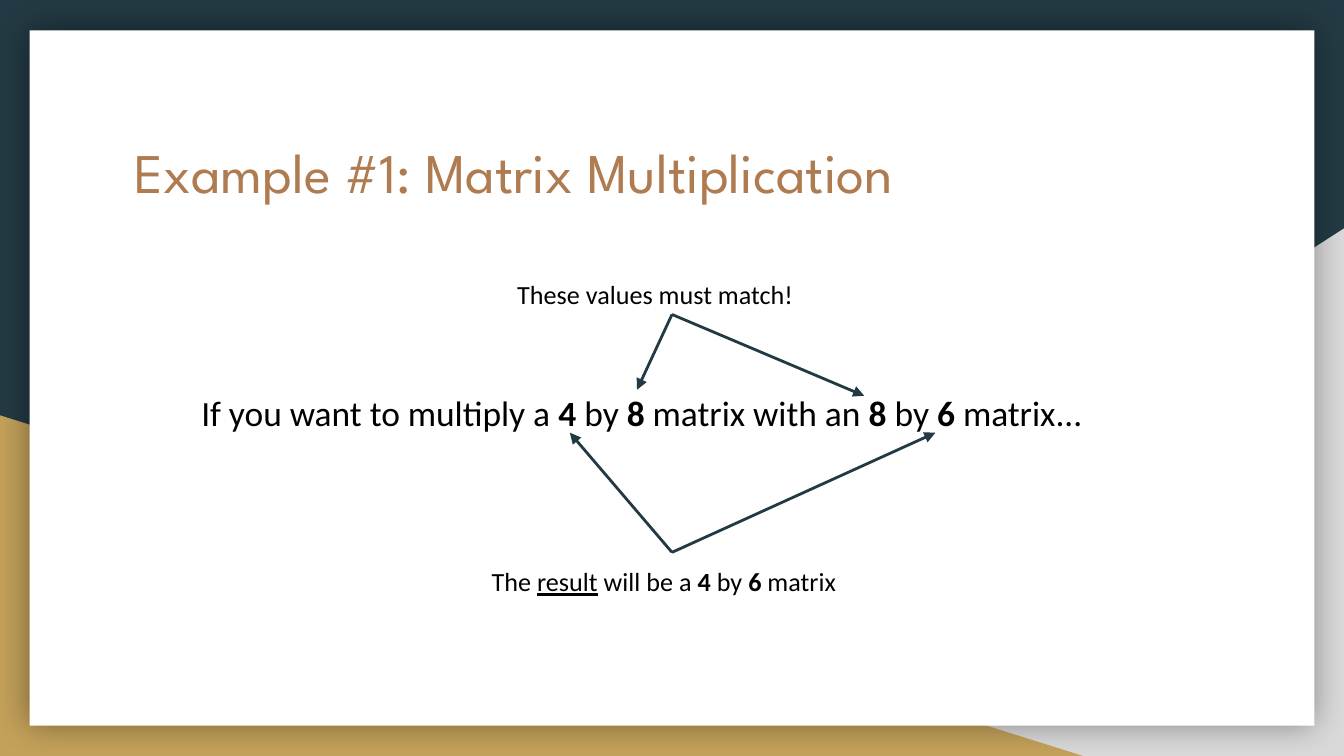
from lxml.etree import SubElement
from pptx import Presentation
from pptx.dml.color import RGBColor
from pptx.enum.shapes import MSO_CONNECTOR, MSO_SHAPE
from pptx.enum.text import MSO_ANCHOR, MSO_AUTO_SIZE, PP_ALIGN
from pptx.oxml.ns import qn
from pptx.util import Inches, Pt

COLORS = {"navy": "233A44", "gray": "D9D9D9", "gold": "C4A15A",
          "white": "FFFFFF", "copper": "AF7B51", "black": "000000"}
COLS, ROWS = 100, 56.25  # square grid cells over the whole slide
CELL = Inches(0.1)


def rgb(name):
    return RGBColor.from_string(COLORS[name])


def cells(*counts):
    return [round(n * CELL) for n in counts]


def inside(box, x, y, w, h):
    """Turn a place relative to box into a place on the slide."""
    return box[0] + x, box[1] + y, w, h


def add_panel(s, kind, box, color):
    sp = s.shapes.add_shape(kind, *cells(*box))
    sp.shadow.inherit = False
    sp.fill.solid()
    sp.fill.fore_color.rgb = rgb(color)
    sp.line.fill.background()
    return sp


def add_glow(sp, blur, alpha):
    """Give a shape a soft dark shadow on all sides."""
    effects = sp._element.spPr.find(qn("a:effectLst"))
    shadow = SubElement(effects, qn("a:outerShdw"), blurRad=str(Pt(blur)),
                        dist="0", dir="0", algn="ctr", rotWithShape="0")
    color = SubElement(shadow, qn("a:srgbClr"), val=COLORS["black"])
    SubElement(color, qn("a:alpha"), val=str(alpha * 1000))


def format_frame(tf):
    tf.word_wrap = True
    tf.auto_size = MSO_AUTO_SIZE.NONE
    tf.vertical_anchor = MSO_ANCHOR.TOP
    tf.margin_left = tf.margin_right = tf.margin_top = tf.margin_bottom = CELL
    tf.paragraphs[0].alignment = PP_ALIGN.LEFT


def format_font(font, name, size, color):
    font.name, font.size, font.color.rgb = name, Pt(size), rgb(color)


def add_text(s, box, size, parts):
    """Add one line of (text, style) parts; style is "", "b" or "u"."""
    tf = s.shapes.add_textbox(*cells(*box)).text_frame
    format_frame(tf)
    for text, style in parts:
        r = tf.paragraphs[0].add_run()
        r.text = text
        format_font(r.font, "Calibri", size, "black")
        r.font.bold = style == "b"
        r.font.underline = style == "u"


def add_arrow(s, box, start, end):
    points = [box[0] + start[0], box[1] + start[1],
              box[0] + end[0], box[1] + end[1]]
    line = s.shapes.add_connector(MSO_CONNECTOR.STRAIGHT, *cells(*points))
    line.line.color.rgb = rgb("navy")
    line.line.width = Pt(1.5)
    SubElement(line.line._get_or_add_ln(), qn("a:tailEnd"), type="triangle")
    SubElement(line._element.spPr, qn("a:effectLst"))


def add_backdrop(s, box):
    s.background.fill.solid()
    s.background.fill.fore_color.rgb = rgb("navy")
    right = add_panel(s, MSO_SHAPE.RIGHT_TRIANGLE,
                      inside(box, 39.2, 17, 60.8, 39.25), "gray")
    right._element.spPr.xfrm.set("flipH", "1")
    add_panel(s, MSO_SHAPE.RIGHT_TRIANGLE,
              inside(box, 0, 30.9, 80.6, 25.35), "gold")
    card = add_panel(s, MSO_SHAPE.RECTANGLE,
                     inside(box, 2.2, 2.25, 95.6, 51.75), "white")
    add_glow(card, 18, 40)


def add_title(s, box, text):
    """Fill the title placeholder and bring it in front of the backdrop."""
    title = s.shapes.title
    s.shapes._spTree.append(title._element)
    title.left, title.top, title.width, title.height = cells(*box)
    title.text_frame.text = text
    format_frame(title.text_frame)
    format_font(title.text_frame.paragraphs[0].runs[0].font,
                "League Spartan", 30, "copper")


def add_size_rule(s, box):
    """Show which matrix sizes must match and which give the result."""
    add_text(s, inside(box, 0, 8.4, 72, 6.3), 19, [
        ("If you want to multiply a ", ""), ("4 ", "b"), ("by", ""),
        (" 8", "b"), (" matrix with an ", ""), ("8 ", "b"), ("by", ""),
        (" 6", "b"), (" matrix...", "")])
    add_text(s, inside(box, 23.5, 0, 25, 3.7), 14,
             [("These values must match!", "")])
    add_text(s, inside(box, 21.6, 21.4, 28.9, 3.7), 14, [
        ("The ", ""), ("result", "u"), (" will be a ", ""), ("4 ", "b"),
        ("by", ""), (" 6", "b"), (" matrix", "")])
    middle = box[2] / 2
    for row, targets in ((3.7, [(33.4, 9.3), (50.3, 9.75)]),
                         (21.4, [(28.4, 12.5), (55.6, 12.5)])):
        for target in targets:
            add_arrow(s, box, (middle, row), target)


def main():
    prs = Presentation()
    prs.slide_width, prs.slide_height = cells(COLS, ROWS)
    s = prs.slides.add_slide(prs.slide_layouts[5])
    add_backdrop(s, (0, 0, COLS, ROWS))
    add_title(s, (9, 9.2, 82.1, 10.4), "Example #1: Matrix Multiplication")
    add_size_rule(s, (14, 19.7, 72, 25.1))
    prs.save("out.pptx")


if __name__ == "__main__":
    main()
